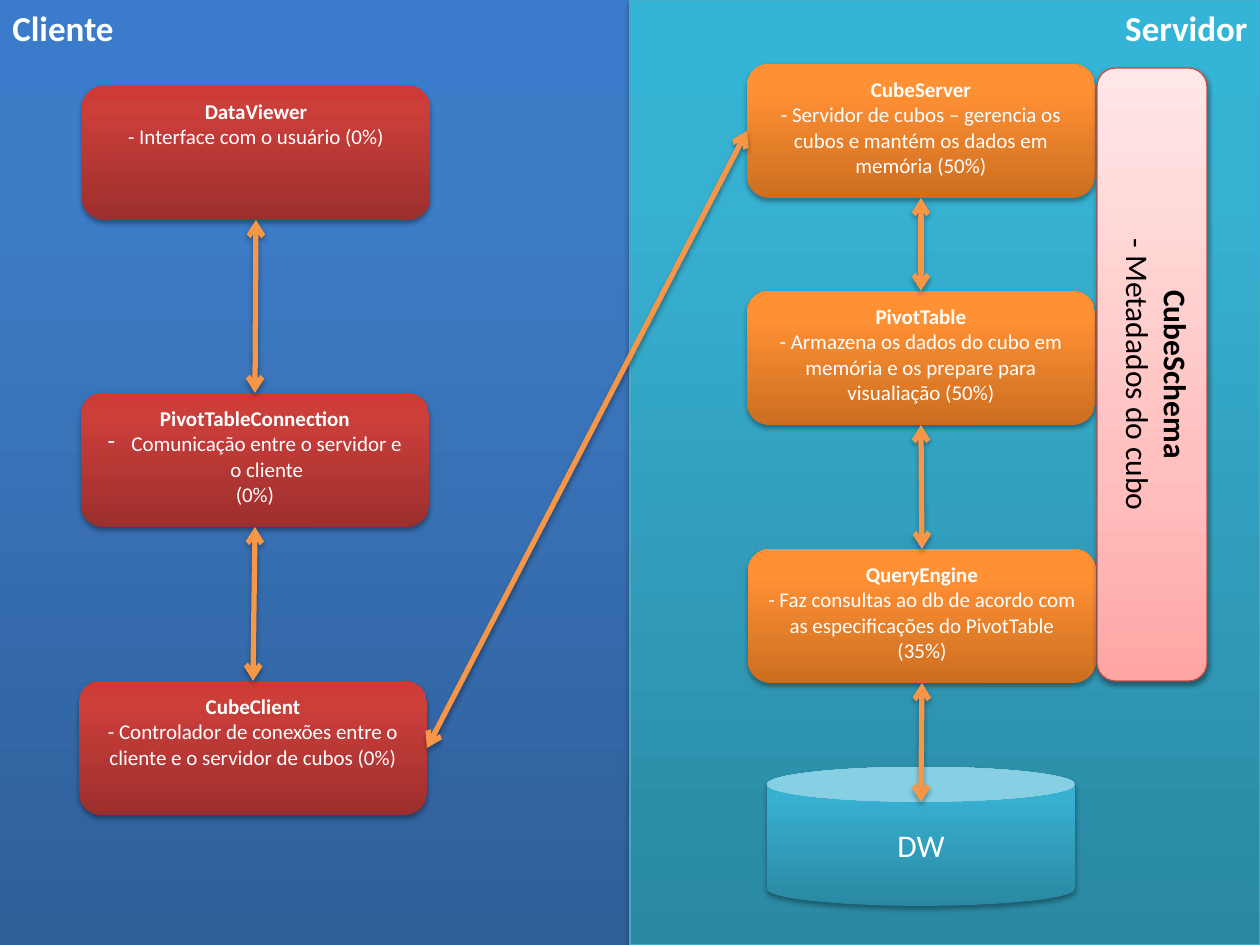
from lxml.etree import SubElement
from pptx import Presentation
from pptx.dml.color import RGBColor
from pptx.enum.shapes import MSO_CONNECTOR, MSO_SHAPE
from pptx.enum.text import MSO_ANCHOR, PP_ALIGN
from pptx.oxml.ns import qn
from pptx.util import Emu, Pt

PIXEL = 914400 // 126
TOP, LEFT, BOTTOM, RIGHT = range(4)
BOX_WIDTH, BOX_HEIGHT = 348, 134
COLORS = {"white": "FFFFFF", "black": "000000", "arrow": "F79646",
          "server_edge": "46AAC5", "schema_edge": "BF4C48"}
GRADIENTS = {
    "blue": [(0, "2F5F99"), (80, "3D7CC7"), (100, "3A7CCB")],
    "teal": [(0, "2A88A2"), (80, "37B1D2"), (100, "34B4D6")],
    "red": [(0, "9C2F2D"), (80, "CB3E3A"), (100, "CE3B37")],
    "orange": [(0, "CC6E20"), (80, "FF9034"), (100, "FF9136")],
    "pink": [(0, "FFA6A5"), (35, "FFC0BF"), (100, "FFE7E7")],
}
CLIENT_BOXES = [
    (82, 86, "DataViewer", ["- Interface com o usuário (0%)"]),
    (81, 393, "PivotTableConnection",
     ["• Comunicação entre o servidor e o cliente", "(0%)"]),
    (79, 681, "CubeClient",
     ["- Controlador de conexões entre o cliente e o servidor de cubos (0%)"]),
]
SERVER_BOXES = [
    (747, 64, "CubeServer",
     ["- Servidor de cubos – gerencia os cubos e mantém os dados em memória (50%)"]),
    (747, 291, "PivotTable",
     ["- Armazena os dados do cubo em memória e os prepare para visualiação (50%)"]),
    (748, 549, "QueryEngine",
     ["- Faz consultas ao db de acordo com as especificações do PivotTable (35%)"]),
]


def px(*lengths):
    return [Emu(length * PIXEL) for length in lengths]


def add_element(parent, tag, **attributes):
    return SubElement(parent, qn(tag), {key: str(value) for key, value in attributes.items()})


def add_color(parent, color):
    return add_element(parent, "a:srgbClr", val=color)


def set_gradient(shape, stops):
    shape.fill.gradient()
    gradient = shape.element.spPr.find(qn("a:gradFill"))
    for child in list(gradient):
        gradient.remove(child)
    stop_list = add_element(gradient, "a:gsLst")
    for position, color in stops:
        add_color(add_element(stop_list, "a:gs", pos=position * 1000), color)
    add_element(gradient, "a:lin", ang=16200000, scaled=0)


def add_shadow(effects, opacity=35, distance=1.8):
    shadow = add_element(effects, "a:outerShdw", blurRad=Pt(3.1), dist=Pt(distance),
                         dir=5400000, rotWithShape=0)
    add_element(add_color(shadow, COLORS["black"]), "a:alpha", val=opacity * 1000)


def add_panel(slide, kind, bounds, gradient, edge=None, **shadow):
    shape = slide.shapes.add_shape(kind, *px(*bounds))
    set_gradient(shape, GRADIENTS[gradient])
    if edge:
        shape.line.color.rgb = RGBColor.from_string(COLORS[edge])
        shape.line.width = Pt(0.75)
    else:
        shape.line.fill.background()
    shape.shadow.inherit = False
    add_shadow(shape.element.spPr.find(qn("a:effectLst")), **shadow)
    return shape


def add_bullet(paragraph):
    properties = paragraph._p.get_or_add_pPr()
    properties.set("marL", "171450")
    properties.set("indent", "-171450")
    add_element(properties, "a:buFontTx")
    add_element(properties, "a:buChar", char="-")


def write_text(shape, lines, size, color="white", heading=True,
               alignment=PP_ALIGN.CENTER, anchor=MSO_ANCHOR.TOP):
    frame = shape.text_frame
    frame.word_wrap = True
    frame.vertical_anchor = anchor
    for index, line in enumerate(lines):
        paragraph = frame.add_paragraph() if index else frame.paragraphs[0]
        paragraph.alignment = alignment
        if line.startswith("• "):
            add_bullet(paragraph)
        run = paragraph.add_run()
        run.text = line.removeprefix("• ")
        font_format = {"name": "Calibri", "size": Pt(size), "bold": heading and index == 0}
        for name, value in font_format.items():
            setattr(run.font, name, value)
        run.font.color.rgb = RGBColor.from_string(COLORS[color])


def add_boxes(slide, boxes, gradient):
    shapes = []
    for left, top, title, details in boxes:
        shape = add_panel(slide, MSO_SHAPE.ROUNDED_RECTANGLE,
                          (left, top, BOX_WIDTH, BOX_HEIGHT), gradient)
        write_text(shape, [title, *details], 12)
        shapes.append(shape)
    return shapes


def add_arrow(slide, start, start_site, end=None, end_site=TOP, end_point=(0, 0)):
    arrow = slide.shapes.add_connector(MSO_CONNECTOR.STRAIGHT, 0, 0, *px(*end_point))
    arrow.begin_connect(start, start_site)
    if end is not None:
        arrow.end_connect(end, end_site)
    arrow.line.color.rgb = RGBColor.from_string(COLORS["arrow"])
    arrow.line.width = Pt(3)
    line = arrow.line._get_or_add_ln()
    for tag in ("a:headEnd", "a:tailEnd"):
        add_element(line, tag, type="arrow")
    add_shadow(add_element(arrow.element.spPr, "a:effectLst"))


def main():
    presentation = Presentation()
    presentation.slide_width, presentation.slide_height = px(1260, 945)
    slide = presentation.slides.add_slide(presentation.slide_layouts[6])

    client = add_panel(slide, MSO_SHAPE.RECTANGLE, (0, 0, 630, 945), "blue")
    write_text(client, ["Cliente"], 20, alignment=PP_ALIGN.LEFT)
    server = add_panel(slide, MSO_SHAPE.RECTANGLE, (630, 0, 630, 945), "teal", "server_edge")
    write_text(server, ["Servidor"], 20, alignment=PP_ALIGN.RIGHT)

    client_boxes = add_boxes(slide, CLIENT_BOXES, "red")
    server_boxes = add_boxes(slide, SERVER_BOXES, "orange")
    warehouse = add_panel(slide, MSO_SHAPE.CAN, (767, 767, 308, 139), "teal")
    write_text(warehouse, ["DW"], 18, heading=False, anchor=MSO_ANCHOR.MIDDLE)

    add_arrow(slide, server_boxes[-1], BOTTOM, end_point=(921, 802))
    for boxes in (server_boxes, client_boxes):
        for upper, lower in zip(boxes, boxes[1:]):
            add_arrow(slide, upper, BOTTOM, lower, TOP)
    add_arrow(slide, server_boxes[0], LEFT, client_boxes[-1], RIGHT)

    schema = add_panel(slide, MSO_SHAPE.ROUNDED_RECTANGLE, (1097, 68, 110, 613),
                       "pink", "schema_edge", opacity=38, distance=1.6)
    write_text(schema, ["CubeSchema", "- Metadados do cubo"], 18, "black")
    schema.text_frame._txBody.bodyPr.set("vert", "vert")

    presentation.save("out.pptx")


main()
